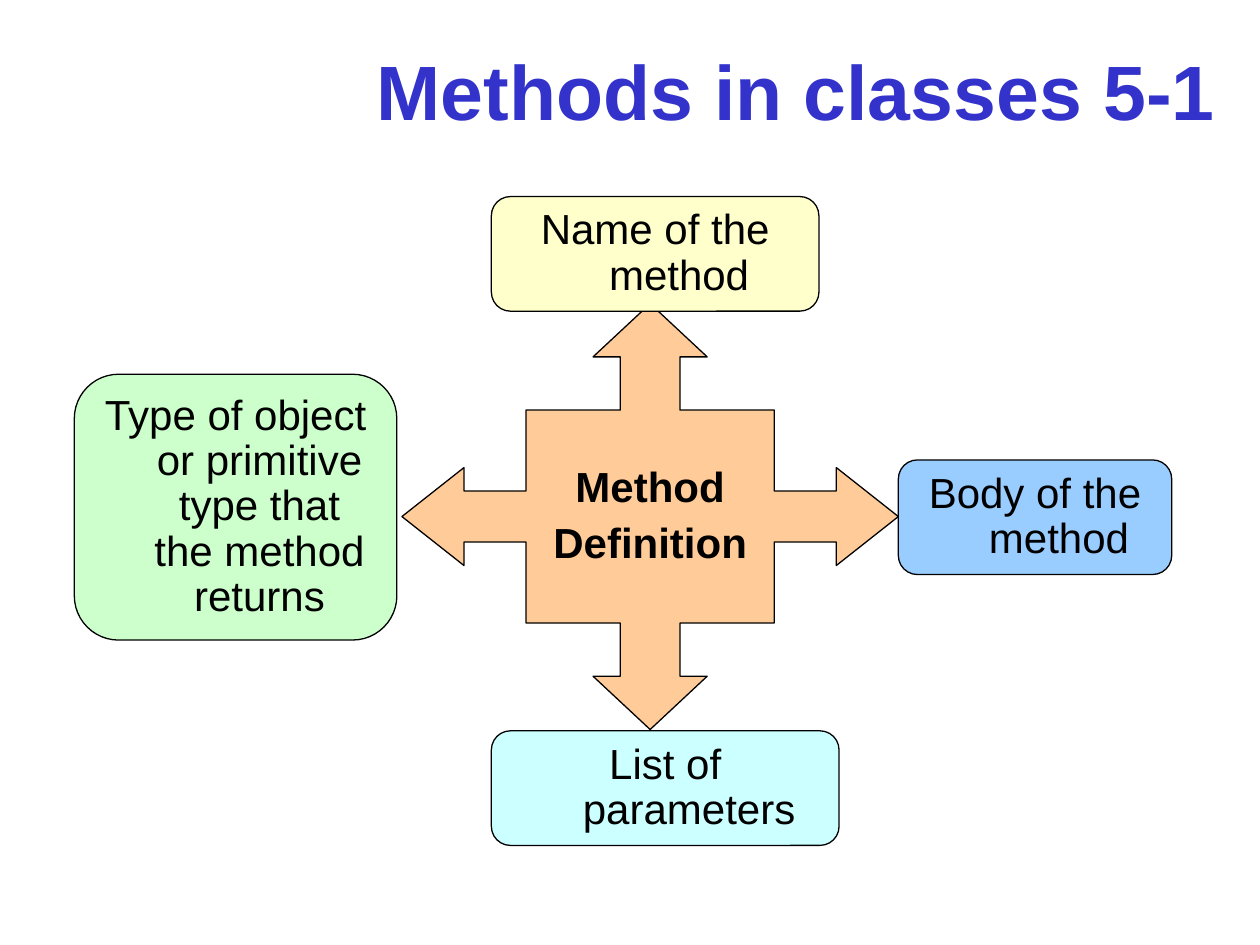
"""Build a slide showing the four parts of a method definition."""
from typing import NamedTuple

import pptx
import pptx.dml.color
import pptx.enum.shapes
import pptx.enum.text
import pptx.util

Inches = pptx.util.Inches
Pt = pptx.util.Pt
ALIGN = pptx.enum.text.PP_ALIGN

COLORS = {
    "title": "3333CC",
    "ink": "000000",
    "definition": "FFCC99",
    "name": "FFFFCC",
    "parameters": "CCFFFF",
    "body": "99CCFF",
    "type": "CCFFCC",
}
CENTER_X, CENTER_Y = 5.16, 4.1
HALF_WIDTH, HALF_HEIGHT = 1.97, 1.69
ARM = [(-0.5, -0.5), (-0.12, -0.5), (-0.12, -0.75), (-0.23, -0.75),
       (0, -1), (0.23, -0.75), (0.12, -0.75), (0.12, -0.5)]


class Part(NamedTuple):
    color: str
    left: float
    top: float
    width: float
    height: float
    text: str


PARTS = [
    Part("name", 3.9, 1.56, 2.6, 0.91, "Name of the method"),
    Part("parameters", 3.9, 5.8, 2.76, 0.91, "List of parameters"),
    Part("body", 7.13, 3.65, 2.17, 0.91, "Body of the method"),
    Part("type", 0.59, 2.97, 2.56, 2.11,
         "Type of object or primitive type that the method returns"),
]


def rgb(key: str) -> pptx.dml.color.RGBColor:
    return pptx.dml.color.RGBColor.from_string(COLORS[key])


def style_shape(shape, color: str) -> None:
    shape.shadow.inherit = False
    shape.fill.solid()
    shape.fill.fore_color.rgb = rgb(color)
    shape.line.color.rgb = rgb("ink")
    shape.line.width = Pt(0.75)


def write_run(paragraph, text: str, size: float, color: str, bold: bool) -> None:
    run = paragraph.add_run()
    run.text = text
    run.font.name = "Arial"
    run.font.size = Pt(size)
    run.font.bold = bold
    run.font.color.rgb = rgb(color)


def write_label(shape, lines: list[str], bold: bool = False) -> None:
    frame = shape.text_frame
    frame.word_wrap = True
    frame.vertical_anchor = pptx.enum.text.MSO_ANCHOR.MIDDLE
    for index, line in enumerate(lines):
        paragraph = frame.add_paragraph() if index else frame.paragraphs[0]
        paragraph.alignment = ALIGN.CENTER
        paragraph.line_spacing = 0.9
        paragraph.space_before = Pt(6 if index else 0)
        properties = paragraph._p.get_or_add_pPr()
        properties.set("marL", str(Inches(0.38)))
        properties.set("indent", str(Inches(-0.38)))
        write_run(paragraph, line, 24, "ink", bold)


def add_title(slide, text: str) -> None:
    title = slide.shapes.add_textbox(Inches(0.75), Inches(0.28), Inches(9), Inches(0.87))
    frame = title.text_frame
    frame.word_wrap = True
    frame.vertical_anchor = pptx.enum.text.MSO_ANCHOR.MIDDLE
    frame.paragraphs[0].alignment = ALIGN.RIGHT
    write_run(frame.paragraphs[0], text, 44, "title", True)


def add_definition(slide, lines: list[str]) -> None:
    outline = []
    arm = ARM
    for _ in range(4):
        outline += arm
        arm = [(-y, x) for x, y in arm]
    points = [(Inches(CENTER_X + x * HALF_WIDTH), Inches(CENTER_Y + y * HALF_HEIGHT))
              for x, y in outline]
    builder = slide.shapes.build_freeform(*points[0])
    builder.add_line_segments(points[1:], close=True)
    definition = builder.convert_to_shape()
    style_shape(definition, "definition")
    write_label(definition, lines, bold=True)


def add_part(slide, part: Part) -> None:
    box = slide.shapes.add_shape(
        pptx.enum.shapes.MSO_SHAPE.ROUNDED_RECTANGLE,
        Inches(part.left), Inches(part.top), Inches(part.width), Inches(part.height))
    style_shape(box, part.color)
    write_label(box, [part.text])


def main() -> None:
    deck = pptx.Presentation()
    deck.slide_width, deck.slide_height = Inches(10), Inches(7.5)
    slide = deck.slides.add_slide(deck.slide_layouts[6])
    add_title(slide, "Methods in classes 5-1")
    add_definition(slide, ["Method", "Definition"])
    for part in PARTS:
        add_part(slide, part)
    deck.save("out.pptx")


if __name__ == "__main__":
    main()
